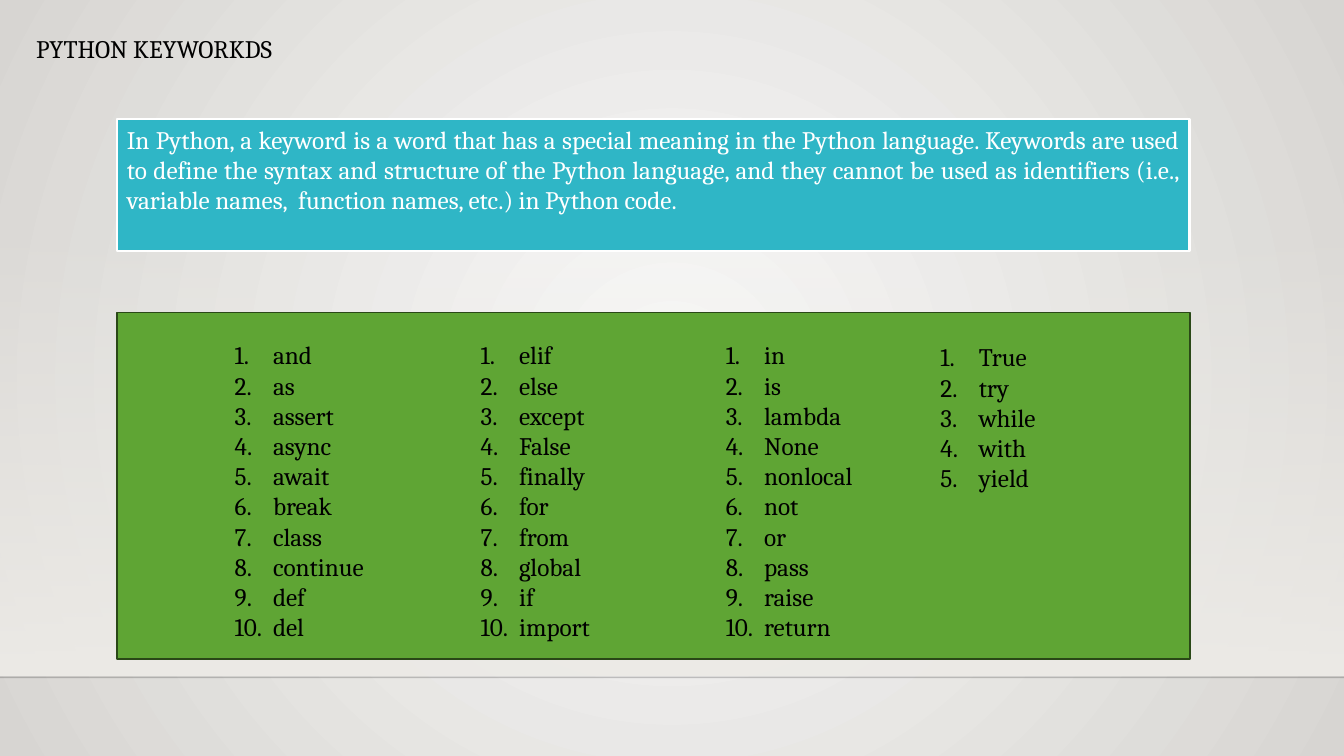
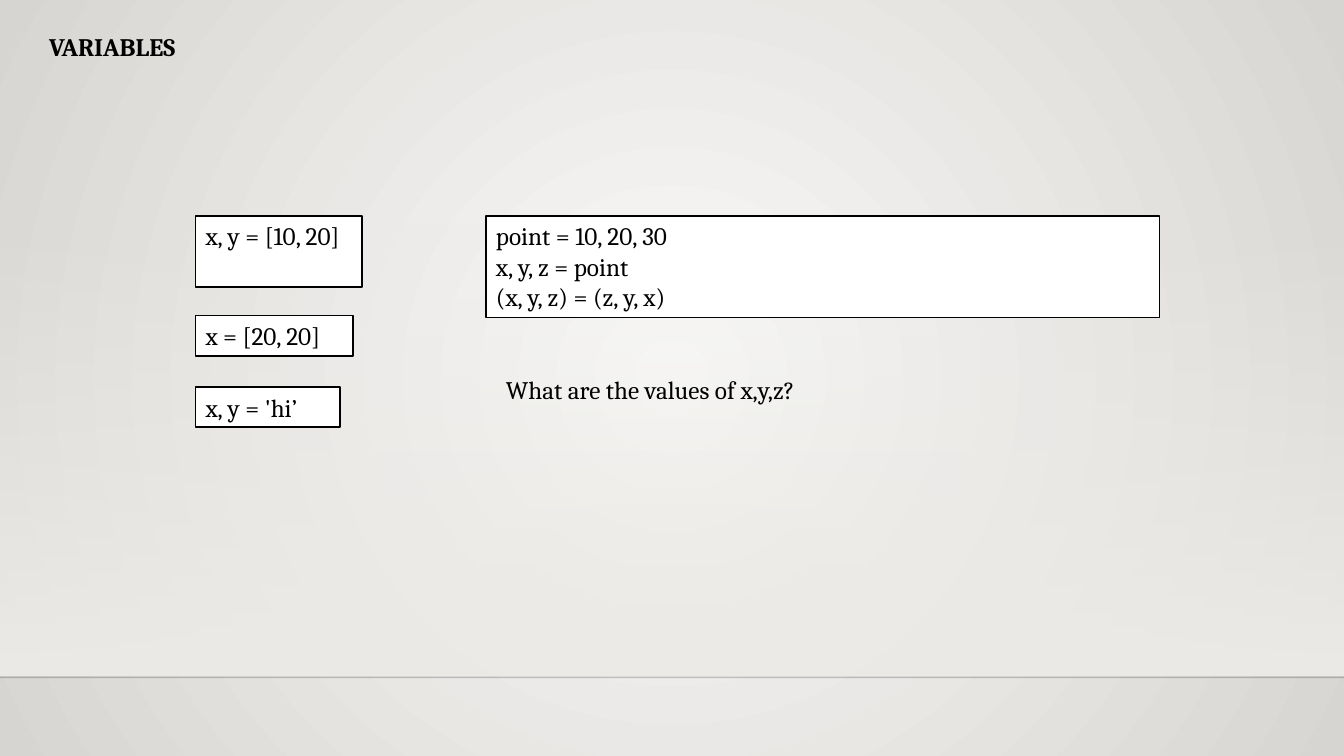
from lxml import etree
from pptx import Presentation, util as u
from pptx.dml.color import RGBColor
from pptx.enum import shapes, text
from pptx.oxml.ns import qn

# Shared look
FONT, SIZE = "Cambria", 18
BLACK, WHITE = "000000", "FFFFFF"
TEAL, GREEN, DARK_GREEN = "2FB6C6", "5FA534", "2A4817"
GLOW, EDGE, BAND = "FAFAF9", "D7D5D2", "EDEBE7"
WIDTH, HEIGHT = 13.33, 7.5

DEFINITION = (
    "In Python, a keyword is a word that has a special meaning in the Python "
    "language. Keywords are used to define the syntax and structure of the "
    "Python language, and they cannot be used as identifiers (i.e., variable "
    "names,  function names, etc.) in Python code."
)
# Left, top, width, keywords
KEYWORD_COLUMNS = [
    (2.23, 3.32, 1.7, "and as assert async await break class continue def del"),
    (4.67, 3.32, 1.7, "elif else except False finally for from global if import"),
    (7.1, 3.32, 1.89, "in is lambda None nonlocal not or pass raise return"),
    (9.23, 3.34, 1.7, "True try while with yield"),
]
# Left, top, width, height, code lines
CODE_BOXES = [
    (1.94, 2.14, 1.65, 0.71, ["x, y = [10, 20]"]),
    (1.94, 3.13, 1.56, 0.4, ["x = [20, 20]"]),
    (1.94, 3.84, 1.43, 0.4, ["x, y = 'hi’"]),
    (4.82, 2.14, 6.68, 1.01,
     ["point = 10, 20, 30", "x, y, z = point", "(x, y, z) = (z, y, x)"]),
]


def rgb(value):
    return RGBColor.from_string(value)


def inches(*values):
    return [u.Inches(v) for v in values]


def set_alpha(color_element, percent):
    etree.SubElement(color_element, qn("a:alpha"), val=str(percent * 1000))


def set_gradient(fill, start, end):
    fill.gradient()
    for stop, color in zip(fill.gradient_stops, (start, end)):
        stop.color.rgb = rgb(color)


def write(sp, lines, color=BLACK, bold=False, align=text.PP_ALIGN.LEFT,
          wrap=True, numbered=False):
    tf = sp.text_frame
    tf.word_wrap = wrap
    tf.vertical_anchor = text.MSO_ANCHOR.TOP
    style = {"name": FONT, "size": u.Pt(SIZE), "bold": bold}
    for i, line in enumerate(lines):
        p = tf.paragraphs[0] if i == 0 else tf.add_paragraph()
        p.alignment = align
        r = p.add_run()
        r.text = line
        for key, value in style.items():
            setattr(r.font, key, value)
        r.font.color.rgb = rgb(color)
        if numbered:
            pPr = p._p.get_or_add_pPr()
            indent = u.Inches(0.38)
            pPr.set("marL", str(indent))
            pPr.set("indent", str(-indent))
            etree.SubElement(pPr, qn("a:buAutoNum"), type="arabicPeriod")


def add_text(s, left, top, width, height, lines, **style):
    sp = s.shapes.add_textbox(*inches(left, top, width, height))
    write(sp, lines, **style)


def add_box(s, left, top, width, height, fill=WHITE, line=BLACK, weight=1.25):
    sp = s.shapes.add_shape(shapes.MSO_SHAPE.RECTANGLE,
                            *inches(left, top, width, height))
    sp.shadow.inherit = False
    sp.fill.solid()
    sp.fill.fore_color.rgb = rgb(fill)
    sp.line.color.rgb = rgb(line)
    sp.line.width = u.Pt(weight)
    return sp


def set_background(master):
    """Radial glow behind every slide."""
    set_gradient(master.background.fill, GLOW, EDGE)
    grad = master.element.xpath(".//p:bg//a:gradFill")[0]
    grad.remove(grad.find(qn("a:lin")))
    radial = etree.SubElement(grad, qn("a:path"), path="circle")
    etree.SubElement(radial, qn("a:fillToRect"),
                     dict.fromkeys("ltrb", "50000"))


def add_slide(prs, title, left, top, width, bold=False):
    s = prs.slides.add_slide(prs.slide_layouts[6])
    # Band that fades in towards the floor line
    band = add_box(s, 0, 2.2, WIDTH, 4.5)
    band.line.fill.background()
    set_gradient(band.fill, BAND, BAND)
    band.fill.gradient_angle = 270
    set_alpha(band._element.xpath(".//a:gs/a:srgbClr")[0], 0)
    # Floor line
    floor = s.shapes.add_connector(shapes.MSO_CONNECTOR.STRAIGHT,
                                   *inches(0, 6.72, WIDTH, 6.72))
    floor.line.color.rgb = rgb(BLACK)
    floor.line.width = u.Pt(1)
    set_alpha(floor._element.xpath(".//a:ln//a:srgbClr")[0], 20)
    etree.SubElement(floor._element.spPr, qn("a:effectLst"))
    # Title
    add_text(s, left, top, width, 0.4, [title], bold=bold, wrap=False)
    return s


def keywords_slide(prs):
    s = add_slide(prs, "PYTHON KEYWORKDS", 0.26, 0.28, 3)
    definition = add_box(s, 1.16, 1.18, 10.64, 1.31, TEAL, WHITE, 1.75)
    write(definition, [DEFINITION], color=WHITE, align=text.PP_ALIGN.JUSTIFY)
    add_box(s, 1.16, 3.1, 10.64, 3.44, GREEN, DARK_GREEN)
    for left, top, width, words in KEYWORD_COLUMNS:
        words = words.split()
        add_text(s, left, top, width, 0.1 + 0.3 * len(words), words,
                 numbered=True)


def variables_slide(prs):
    s = add_slide(prs, "VARIABLES", 0.39, 0.26, 1.66, bold=True)
    for *place, lines in CODE_BOXES:
        write(add_box(s, *place), lines)
    add_text(s, 4.92, 3.66, 3.37, 0.4, ["What are the values of x,y,z?"],
             wrap=False)


def main():
    prs = Presentation()
    prs.slide_width, prs.slide_height = inches(WIDTH, HEIGHT)
    set_background(prs.slide_master)
    keywords_slide(prs)
    variables_slide(prs)
    prs.save("out.pptx")


if __name__ == "__main__":
    main()
